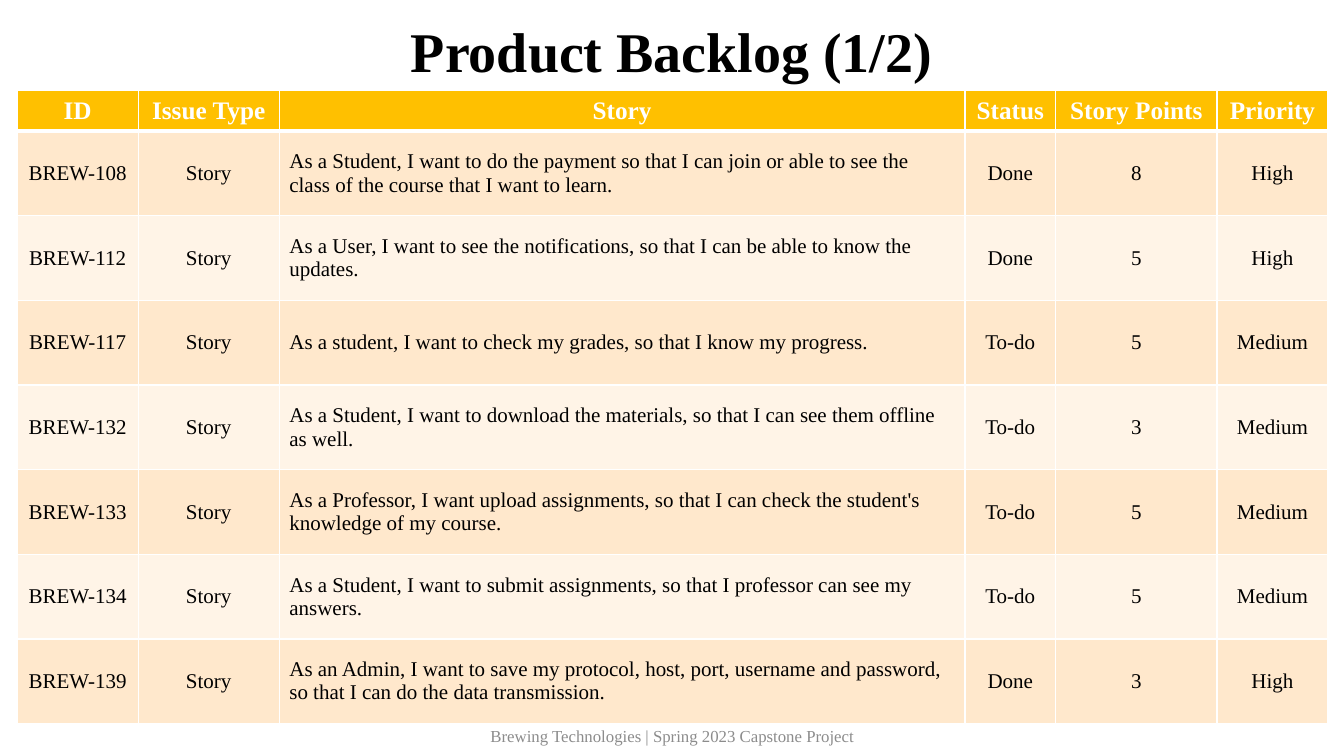
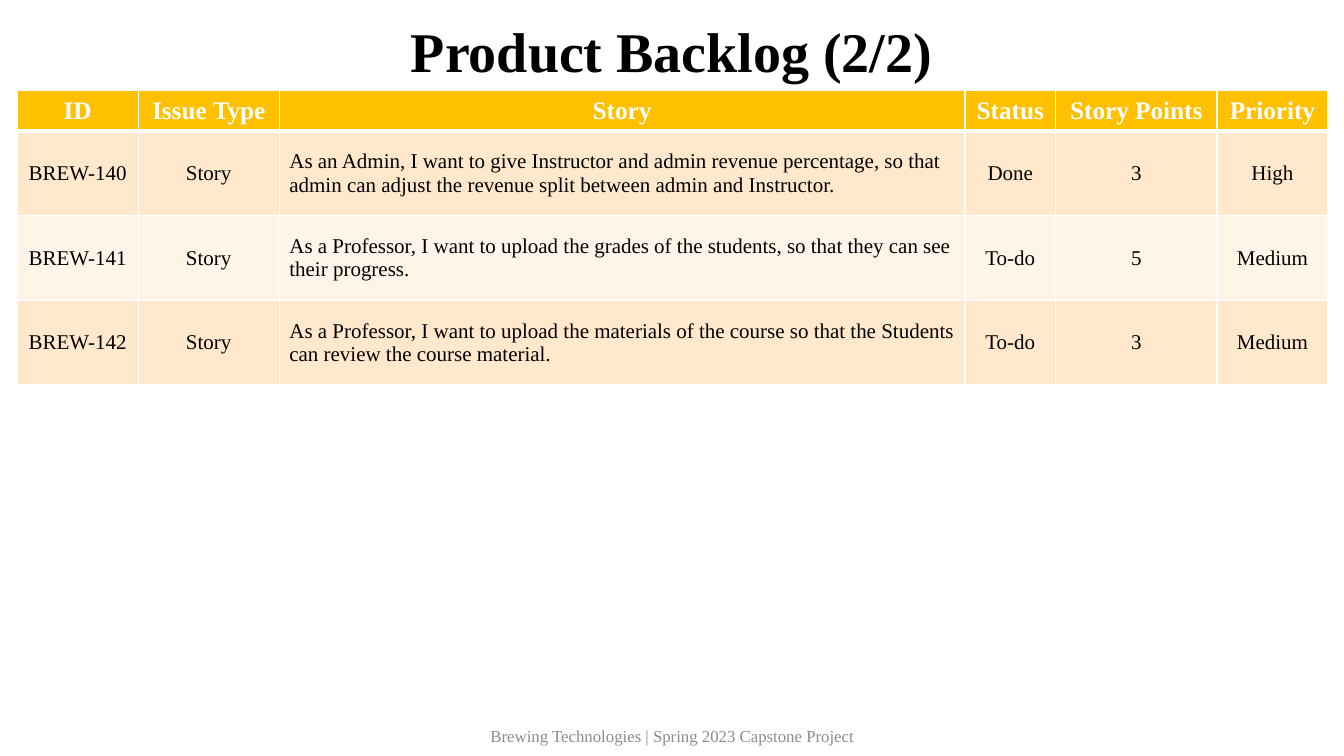
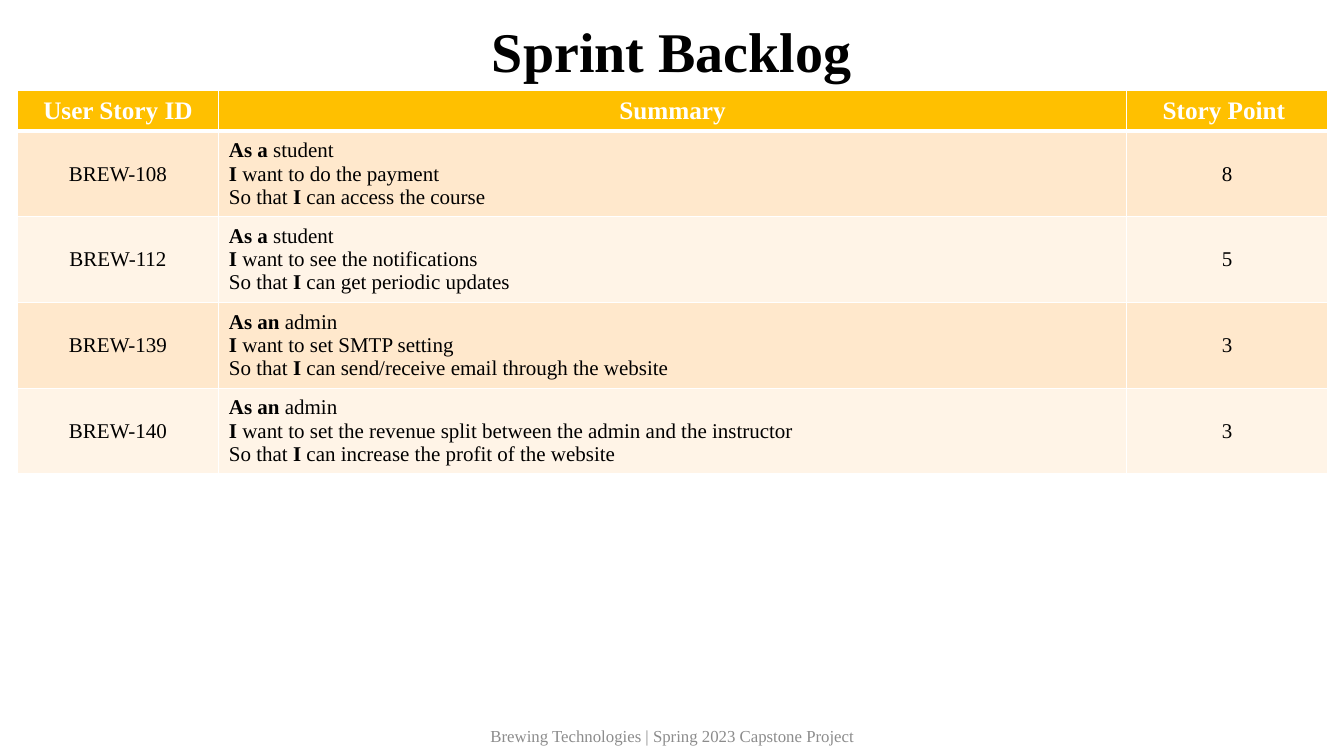
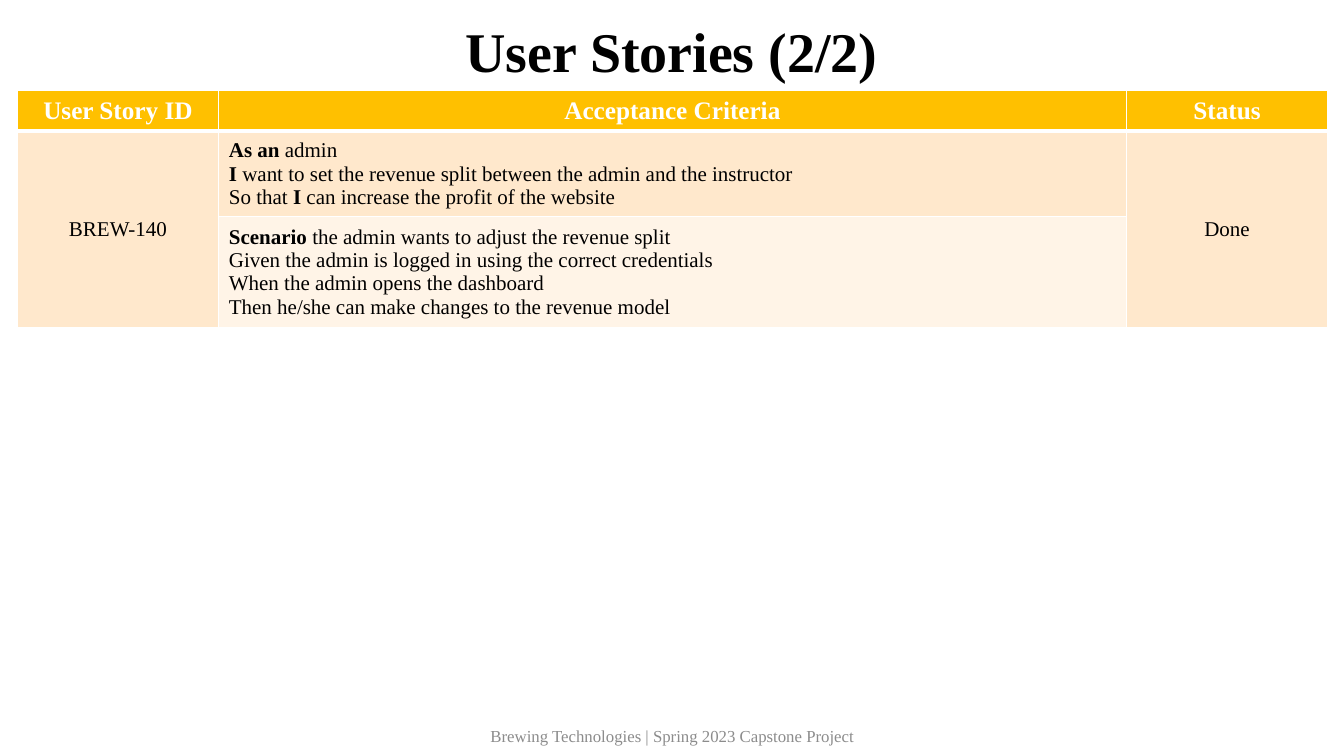
from dataclasses import dataclass
from itertools import accumulate

from pptx import Presentation
from pptx.dml.color import RGBColor
from pptx.enum.text import MSO_ANCHOR as Anchor, MSO_AUTO_SIZE as Fit, PP_ALIGN as Align
from pptx.oxml import parse_xml
from pptx.oxml.ns import nsdecls
from pptx.slide import Slide
from pptx.table import _Cell as Cell
from pptx.text.text import Font, TextFrame
from pptx.util import Inches, Pt

BLACK = RGBColor(0x00, 0x00, 0x00)
WHITE = RGBColor(0xFF, 0xFF, 0xFF)
GREY = RGBColor(0x8C, 0x8C, 0x8C)
GOLD = RGBColor(0xFF, 0xC0, 0x00)
PEACH = RGBColor(0xFF, 0xE8, 0xCC)
CREAM = RGBColor(0xFF, 0xF4, 0xE7)

FACE = "Times New Roman"
FOOTER = "Brewing Technologies | Spring 2023 Capstone Project"
HEAD_HIGH = 0.4
ROW_HIGH = 0.84


@dataclass(frozen=True)
class Style:
    size: int
    color: RGBColor
    bold: bool = False


TITLE = Style(40, BLACK, True)
HEAD = Style(18, WHITE, True)
BODY = Style(15, BLACK)
FOOT = Style(12, GREY)


@dataclass(frozen=True)
class Column:
    head: str
    width: float
    align: Align = Align.CENTER


@dataclass(frozen=True)
class Sheet:
    title: str
    columns: list[Column]
    rows: list[tuple]
    heights: tuple[float, ...] = ()


def story_columns(last_two: tuple[str, str]) -> list[Column]:
    middle, last = last_two
    return [Column("User Story ID", 2), Column(middle, 9, Align.LEFT), Column(last, 2)]


BACKLOG = [
    Column("ID", 1.2),
    Column("Issue Type", 1.4),
    Column("Story", 6.8, Align.LEFT),
    Column("Status", 0.9),
    Column("Story Points", 1.6),
    Column("Priority", 1.1),
]


def issue(code: int, story: str, status: str, points: int, rank: str) -> tuple:
    return f"BREW-{code}", "Story", story, status, str(points), rank


def story(role: str, want: str, goal: str) -> str:
    return f"{role}\n*I* want to {want}\nSo that *I* can {goal}"


SPLIT = story(
    "*As an* admin",
    "set the revenue split between the admin and the instructor",
    "increase the profit of the website",
)

SHEETS = [
    Sheet("Product Backlog (1/2)", BACKLOG, [
        issue(108, "As a Student, I want to do the payment so that I can join or able to see the class of the course that I want to learn.", "Done", 8, "High"),
        issue(112, "As a User, I want to see the notifications, so that I can be able to know the updates.", "Done", 5, "High"),
        issue(117, "As a student, I want to check my grades, so that I know my progress.", "To-do", 5, "Medium"),
        issue(132, "As a Student, I want to download the materials, so that I can see them offline as well.", "To-do", 3, "Medium"),
        issue(133, "As a Professor, I want upload assignments, so that I can check the student's knowledge of my course.", "To-do", 5, "Medium"),
        issue(134, "As a Student, I want to submit assignments, so that I professor can see my answers.", "To-do", 5, "Medium"),
        issue(139, "As an Admin, I want to save my protocol, host, port, username and password, so that I can do the data transmission.", "Done", 3, "High"),
    ]),
    Sheet("Product Backlog (2/2)", BACKLOG, [
        issue(140, "As an Admin, I want to give Instructor and admin revenue percentage, so that admin can adjust the revenue split between admin and Instructor.", "Done", 3, "High"),
        issue(141, "As a Professor, I want to upload the grades of the students, so that they can see their progress.", "To-do", 5, "Medium"),
        issue(142, "As a Professor, I want to upload the materials of the course so that the Students can review the course material.", "To-do", 3, "Medium"),
    ]),
    Sheet("Sprint Backlog", story_columns(("Summary", "Story Point ")), [
        ("BREW-108", story("*As a *student", "do the payment", "access the course"), "8"),
        ("BREW-112", story("*As a *student", "see the notifications", "get periodic updates"), "5"),
        ("BREW-139", story("*As an *admin", "set SMTP setting", "send/receive email through the website"), "3"),
        ("BREW-140", SPLIT, "3"),
    ]),
    Sheet("User Stories (2/2)", story_columns(("Acceptance Criteria", "Status")), [
        ("BREW-140", SPLIT, "Done"),
        (None, "*Scenario *the admin wants to adjust the revenue split\n"
               "Given the admin is logged in using the correct credentials\n"
               "When the admin opens the dashboard\n"
               "Then he/she can make changes to the revenue model", None),
    ], (ROW_HIGH, 1.1)),
]


def set_font(font: Font, style: Style, bold: bool) -> None:
    font.name = FACE
    font.size = Pt(style.size)
    font.color.rgb = style.color
    font.bold = bold


def write(frame: TextFrame, text: str, style: Style, align: Align) -> None:
    for count, line in enumerate(text.split("\n")):
        para = frame.add_paragraph() if count else frame.paragraphs[0]
        para.alignment = align
        for part, piece in enumerate(line.split("*")):
            if piece:
                run = para.add_run()
                run.text = piece
                set_font(run.font, style, style.bold or part % 2 == 1)


def add_edges(cell: Cell, top: int, bottom: int) -> None:
    props = cell._tc.get_or_add_tcPr()
    for side, width in (("L", 1), ("R", 1), ("T", top), ("B", bottom)):
        props.append(parse_xml(
            f'<a:ln{side} {nsdecls("a")} w="{Pt(width)}"><a:solidFill>'
            f'<a:srgbClr val="{WHITE}"/></a:solidFill></a:ln{side}>'))


def paint(cell: Cell, row: int) -> None:
    add_edges(cell, 3 if row == 1 else 1, 3 if row == 0 else 1)
    cell.fill.solid()
    cell.fill.fore_color.rgb = GOLD if row == 0 else PEACH if row % 2 else CREAM
    cell.vertical_anchor = Anchor.MIDDLE


def add_title(slide: Slide, text: str) -> None:
    title = slide.shapes.title
    title.left, title.top = Inches(2.04), Inches(0.1)
    title.width, title.height = Inches(9.24), Inches(0.8)
    frame = title.text_frame
    frame.auto_size = Fit.SHAPE_TO_FIT_TEXT
    frame.vertical_anchor = Anchor.MIDDLE
    write(frame, text, TITLE, Align.CENTER)


def add_footer(slide: Slide) -> None:
    box = slide.shapes.add_textbox(Inches(4.42), Inches(7.1), Inches(4.5), Inches(0.4))
    frame = box.text_frame
    frame.word_wrap = True
    frame.vertical_anchor = Anchor.MIDDLE
    write(frame, FOOTER, FOOT, Align.CENTER)


def add_grid(slide: Slide, sheet: Sheet) -> None:
    heights = [HEAD_HIGH, *(sheet.heights or [ROW_HIGH] * len(sheet.rows))]
    rows = [tuple(col.head for col in sheet.columns), *sheet.rows]
    width = sum(col.width for col in sheet.columns)
    table = slide.shapes.add_table(
        len(rows), len(sheet.columns), Inches(0.17), Inches(0.9),
        Inches(width), Inches(sum(heights))).table
    for place, height in zip(table.rows, heights):
        place.height = Inches(height)
    for across, col in enumerate(sheet.columns):
        table.columns[across].width = Inches(col.width)
        for down, row in enumerate(rows):
            cell = table.cell(down, across)
            paint(cell, down)
            text = row[across]
            if text is None:
                table.cell(down - 1, across).merge(cell)
            elif down == 0:
                write(cell.text_frame, text, HEAD, Align.CENTER)
            else:
                write(cell.text_frame, text, BODY, col.align)


def main() -> None:
    deck = Presentation()
    deck.slide_width, deck.slide_height = Inches(13.33), Inches(7.5)
    for sheet in SHEETS:
        slide = deck.slides.add_slide(deck.slide_layouts[5])
        add_title(slide, sheet.title)
        add_footer(slide)
        add_grid(slide, sheet)
    deck.save("out.pptx")


if __name__ == "__main__":
    main()
